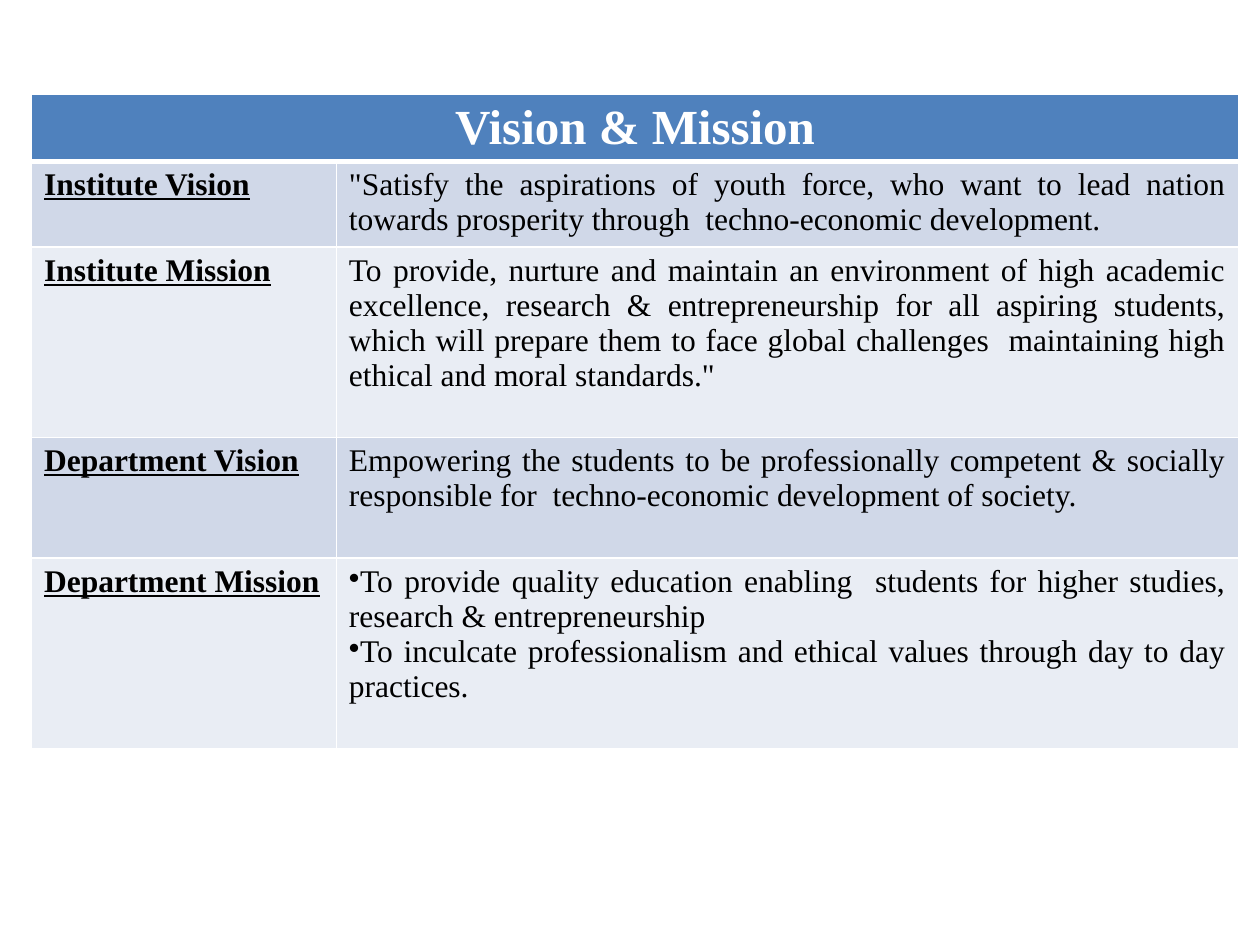
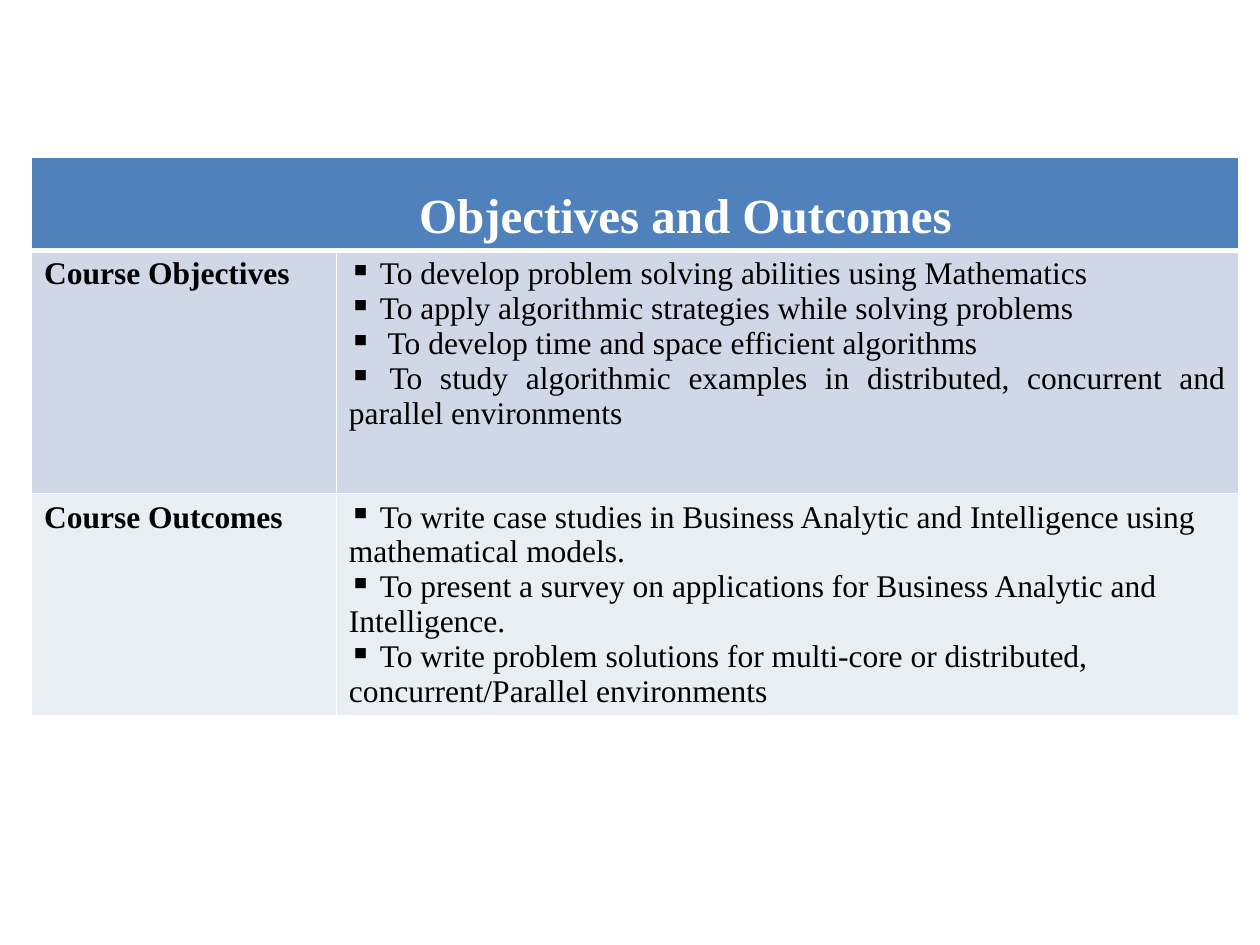
from dataclasses import dataclass

from lxml.etree import SubElement
from pptx import Presentation
from pptx.dml.color import RGBColor as RGB
from pptx.enum.text import PP_ALIGN as Align
from pptx.oxml import parse_xml
from pptx.oxml.ns import nsdecls, qn
from pptx.util import Inches, Pt


@dataclass(frozen=True)
class Theme:
    font: str = "Times New Roman"
    header: str = "4F81BD"
    bands: tuple = ("D0D8E8", "E9EDF4")
    white: str = "FFFFFF"
    text: str = "000000"
    title_pt: int = 28
    body_pt: int = 18
    rule_pt: int = 1
    header_rule_pt: int = 3


THEME = Theme()
LEFT = 0.25
COLUMNS = (2.42, 7.16)


def write(tf, lines, size=THEME.body_pt, color=THEME.text, bold=False,
          underline=False, align=Align.LEFT, bullet=None, indent=0, spacing=None):
    """Fill a text frame with one paragraph for each line."""
    for i, line in enumerate(lines):
        p = tf.paragraphs[0] if i == 0 else tf.add_paragraph()
        p.alignment = align
        if spacing:
            p.line_spacing = spacing
        pPr = p._p.get_or_add_pPr()
        pPr.set("marL", str(Inches(indent)))
        pPr.set("indent", "0")
        if bullet:
            SubElement(pPr, qn("a:buChar"), char=bullet)
        r = p.add_run()
        r.text = line
        r.font.name = THEME.font
        r.font.size = Pt(size)
        r.font.bold = bold
        r.font.underline = underline
        r.font.color.rgb = RGB.from_string(color)


def style_cell(cell, fill, bottom_pt=THEME.rule_pt):
    """Set the fill and the white rules of a cell."""
    cell.fill.solid()
    cell.fill.fore_color.rgb = RGB.from_string(fill)
    tcPr = cell._tc.get_or_add_tcPr()
    for i, side in enumerate("LRTB"):
        width = Pt(bottom_pt if side == "B" else THEME.rule_pt)
        tcPr.insert(i, parse_xml(
            f'<a:ln{side} {nsdecls("a")} w="{width}"><a:solidFill>'
            f'<a:srgbClr val="{THEME.white}"/></a:solidFill></a:ln{side}>'))


def add_statement_table(slide, top, heights, title, rows, title_format=None,
                        label_format=None):
    """Rows hold a label, its statements and the format of the statements."""
    frame = slide.shapes.add_table(
        len(heights), len(COLUMNS), Inches(LEFT), Inches(top),
        Inches(sum(COLUMNS)), Inches(sum(heights)))
    table = frame.table
    for column, width in zip(table.columns, COLUMNS):
        column.width = Inches(width)
    for row, height in zip(table.rows, heights):
        row.height = Inches(height)

    # Header across both columns
    for cell in table.rows[0].cells:
        style_cell(cell, THEME.header, THEME.header_rule_pt)
    header = table.cell(0, 0)
    header.merge(table.cell(0, 1))
    write(header.text_frame, [title], size=THEME.title_pt, color=THEME.white,
          bold=True, align=Align.CENTER, **(title_format or {}))

    # Banded rows
    for i, (label, statements, statement_format) in enumerate(rows):
        label_cell, text_cell = table.rows[i + 1].cells
        for cell in (label_cell, text_cell):
            style_cell(cell, THEME.bands[i % 2])
        write(label_cell.text_frame, [label], bold=True, **(label_format or {}))
        write(text_cell.text_frame, statements, **statement_format)


def vision_slide(slide):
    justified = {"align": Align.JUSTIFY}
    rows = [
        ("Institute Vision",
         ['"Satisfy the aspirations of youth force, who want to lead nation '
          'towards prosperity through  techno-economic development.'],
         justified),
        ("Institute Mission",
         ['To provide, nurture and maintain an environment of high academic '
          'excellence, research & entrepreneurship for all aspiring students, '
          'which will prepare them to face global challenges  maintaining high '
          'ethical and moral standards."'],
         justified),
        ("Department Vision",
         ["Empowering the students to be professionally competent & socially "
          "responsible for  techno-economic development of society."],
         justified),
        ("Department Mission",
         ["To provide quality education enabling  students for higher studies, "
          "research & entrepreneurship",
          "To inculcate professionalism and ethical values through day to day "
          "practices. "],
         {"align": Align.JUSTIFY, "bullet": "•"}),
    ]
    add_statement_table(slide, 0.75, (0.53, 0.68, 1.51, 0.96, 1.51),
                        "Vision & Mission", rows,
                        label_format={"underline": True})


def objectives_slide(slide):
    rows = [
        ("Course Objectives",
         [" To develop problem solving abilities using Mathematics ",
          " To apply algorithmic strategies while solving problems ",
          "  To develop time and space efficient algorithms ",
          " To study algorithmic examples in distributed, concurrent and "
          "parallel environments "],
         {"align": Align.JUSTIFY, "bullet": "▪"}),
        ("Course Outcomes",
         [" To write case studies in Business Analytic and Intelligence using "
          "mathematical models.",
          " To present a survey on applications for Business Analytic and "
          "Intelligence.",
          " To write problem solutions for multi-core or distributed, "
          "concurrent/Parallel environments"],
         {"bullet": "▪"}),
    ]
    add_statement_table(slide, 1.25, (0.73, 1.93, 1.75),
                        "Objectives and Outcomes", rows,
                        title_format={"indent": 0.8, "spacing": Pt(45.9)})


def main():
    prs = Presentation()
    prs.slide_width, prs.slide_height = Inches(10), Inches(7.5)
    blank = prs.slide_layouts[6]
    for build in (vision_slide, objectives_slide):
        build(prs.slides.add_slide(blank))
    prs.save("out.pptx")


if __name__ == "__main__":
    main()
